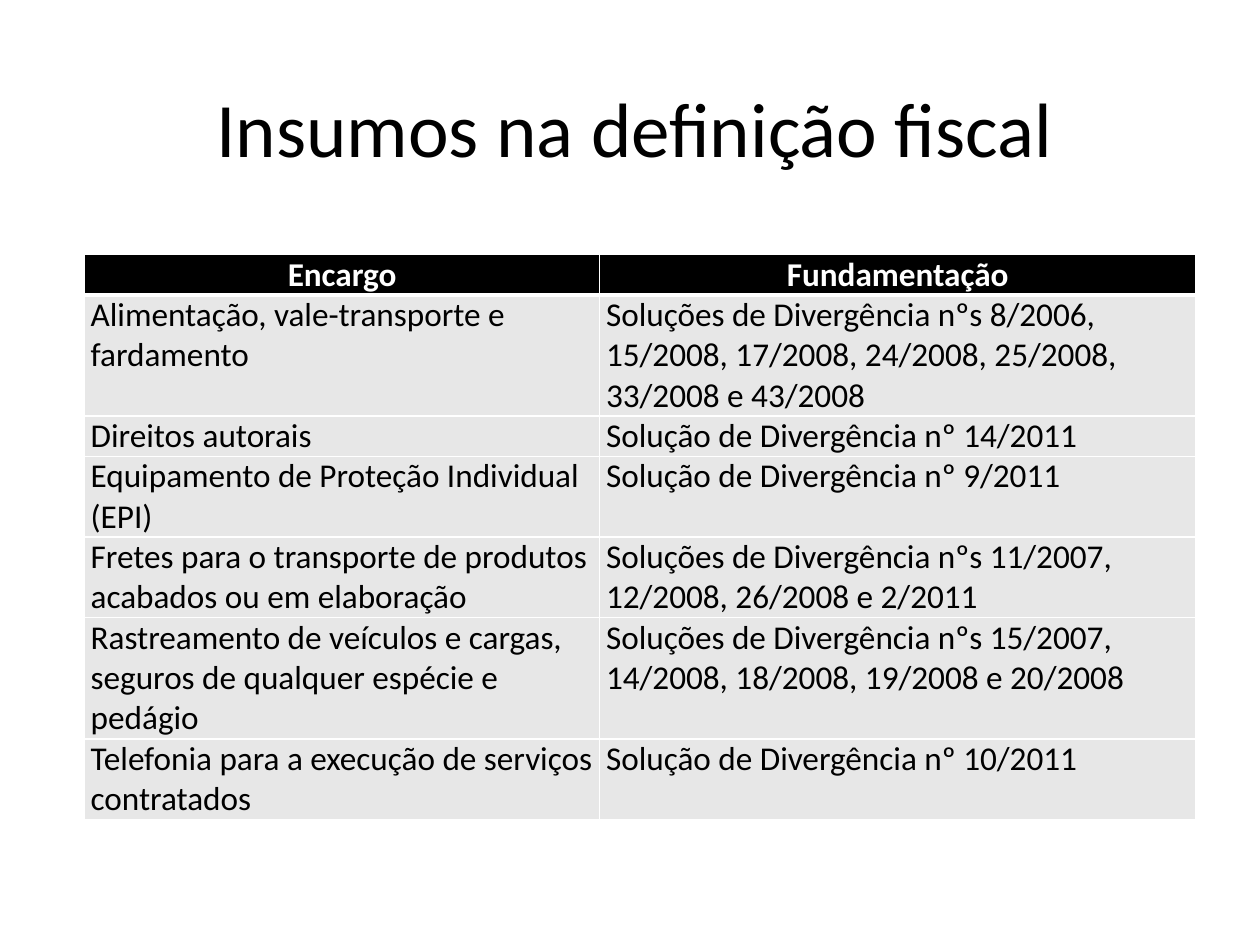
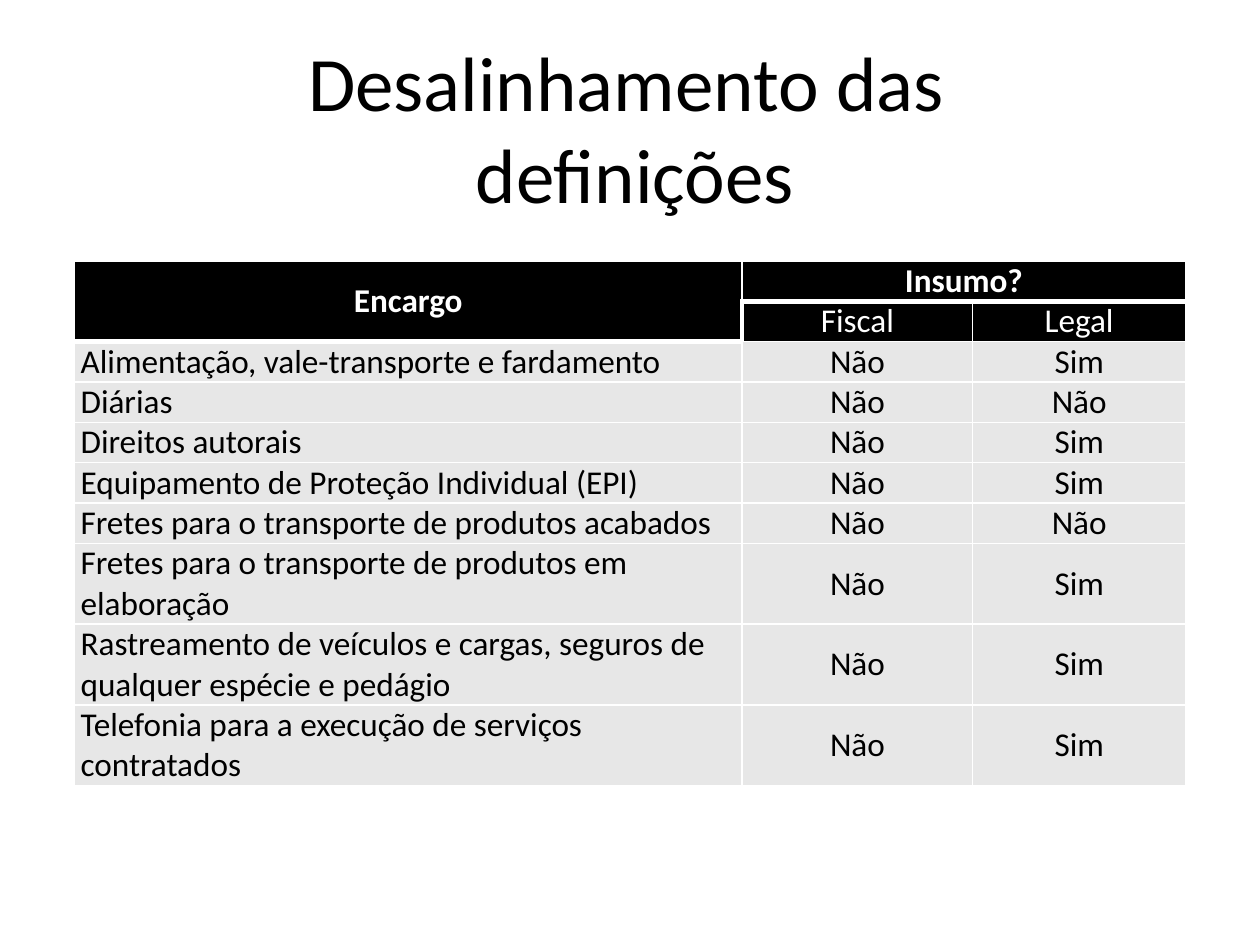
"""Build two slides with tables on the fiscal and legal definitions of inputs."""
from dataclasses import dataclass

from lxml import etree
from pptx import Presentation
from pptx.dml.color import RGBColor
from pptx.enum.text import MSO_ANCHOR, MSO_AUTO_SIZE, PP_ALIGN
from pptx.oxml.ns import qn
from pptx.util import Pt

CENTER, LEFT = PP_ALIGN.CENTER, PP_ALIGN.LEFT
MIDDLE, TOP = MSO_ANCHOR.MIDDLE, MSO_ANCHOR.TOP
NO_AUTOFIT = MSO_AUTO_SIZE.NONE
PX = 9144


@dataclass(frozen=True)
class Theme:
    font: str = "Calibri"
    title_size: int = 44
    table_size: int = 19
    black: str = "000000"
    white: str = "FFFFFF"
    grey: str = "E7E7E7"
    thin: int = 1
    thick: int = 3


THEME = Theme()
TITLE_BOX = (51, 38, 906, 125)
CELL_MARGIN = 5
LINE_HEIGHTS = {1: 32, 2: 63, 3: 95}


def set_font(p, size, color, bold=False):
    p.font.name = THEME.font
    p.font.size = Pt(size)
    p.font.bold = bold
    p.font.color.rgb = RGBColor.from_string(color)


def set_borders(cell, thick_sides):
    tcPr = cell._tc.get_or_add_tcPr()
    for side in "LRTB":
        width = THEME.thick if side in thick_sides else THEME.thin
        ln = etree.SubElement(tcPr, qn(f"a:ln{side}"), w=str(Pt(width)))
        fill = etree.SubElement(ln, qn("a:solidFill"))
        etree.SubElement(fill, qn("a:srgbClr"), val=THEME.white)


slides = [
    {
        "title": "Insumos na definição fiscal",
        "at": (67, 202),
        "cols": [409, 473],
        "lines": [1, 3, 1, 2, 2, 3, 2],
        "header_rows": 1,
        "centered_cols": [],
        "merges": [],
        "thick": {(0, 0): "B", (0, 1): "B", (1, 0): "T", (1, 1): "T"},
        "rows": [
            ("Encargo", "Fundamentação"),
            ("Alimentação, vale-transporte e fardamento",
             "Soluções de Divergência nºs 8/2006, 15/2008, 17/2008, 24/2008, 25/2008, 33/2008 e 43/2008"),
            ("Direitos autorais", "Solução de Divergência nº 14/2011"),
            ("Equipamento de Proteção Individual (EPI)", "Solução de Divergência nº 9/2011"),
            ("Fretes para o transporte de produtos acabados ou em elaboração",
             "Soluções de Divergência nºs 11/2007, 12/2008, 26/2008 e 2/2011"),
            ("Rastreamento de veículos e cargas, seguros de qualquer espécie e pedágio",
             "Soluções de Divergência nºs 15/2007, 14/2008, 18/2008, 19/2008 e 20/2008"),
            ("Telefonia para a execução de serviços contratados",
             "Solução de Divergência nº 10/2011"),
        ],
    },
    {
        "title": "Desalinhamento das \vdefinições",
        "at": (59, 207),
        "cols": [530, 183, 169],
        "lines": [1, 1, 1, 1, 1, 1, 1, 2, 2, 2],
        "header_rows": 2,
        "centered_cols": [1, 2],
        "merges": [((0, 0), (1, 0)), ((0, 1), (0, 2))],
        "thick": {(0, 0): "B", (0, 1): "B", (0, 2): "B", (1, 0): "B",
                  (1, 1): "LT", (1, 2): "T", (2, 0): "T"},
        "rows": [
            ("Encargo", "Insumo?", ""),
            ("", "Fiscal", "Legal"),
            ("Alimentação, vale-transporte e fardamento", "Não", "Sim"),
            ("Diárias", "Não", "Não"),
            ("Direitos autorais", "Não", "Sim"),
            ("Equipamento de Proteção Individual (EPI)", "Não", "Sim"),
            ("Fretes para o transporte de produtos acabados", "Não", "Não"),
            ("Fretes para o transporte de produtos em elaboração", "Não", "Sim"),
            ("Rastreamento de veículos e cargas, seguros de qualquer espécie e pedágio",
             "Não", "Sim"),
            ("Telefonia para a execução de serviços contratados", "Não", "Sim"),
        ],
    },
]

prs = Presentation()
prs.slide_width, prs.slide_height = 1000 * PX, 750 * PX

for content in slides:
    s = prs.slides.add_slide(prs.slide_layouts[5])
    title = s.shapes.title
    title.left, title.top, title.width, title.height = (v * PX for v in TITLE_BOX)
    tf = title.text_frame
    tf.text = content["title"]
    tf.auto_size = NO_AUTOFIT
    tf.vertical_anchor = MIDDLE
    p = tf.paragraphs[0]
    p.alignment = CENTER
    set_font(p, THEME.title_size, THEME.black)

    rows, cols = content["rows"], content["cols"]
    heights = [LINE_HEIGHTS[n] for n in content["lines"]]
    left, top = content["at"]
    table = s.shapes.add_table(len(rows), len(cols), left * PX, top * PX,
                               sum(cols) * PX, sum(heights) * PX).table
    table.horz_banding = False
    for column, width in zip(table.columns, cols):
        column.width = width * PX
    for row, height in zip(table.rows, heights):
        row.height = height * PX

    for i, texts in enumerate(rows):
        for j, text in enumerate(texts):
            cell = table.cell(i, j)
            header = i < content["header_rows"]
            centered = header or j in content["centered_cols"]
            set_borders(cell, content["thick"].get((i, j), ""))
            cell.fill.solid()
            cell.fill.fore_color.rgb = RGBColor.from_string(THEME.black if header else THEME.grey)
            cell.margin_left = cell.margin_right = CELL_MARGIN * PX
            cell.margin_top = cell.margin_bottom = 0
            cell.vertical_anchor = MIDDLE if centered else TOP
            cell.text = text
            p = cell.text_frame.paragraphs[0]
            p.alignment = CENTER if centered else LEFT
            set_font(p, THEME.table_size, THEME.white if header else THEME.black, bold=i == 0)

    for first, last in content["merges"]:
        table.cell(*first).merge(table.cell(*last))

prs.save("out.pptx")
